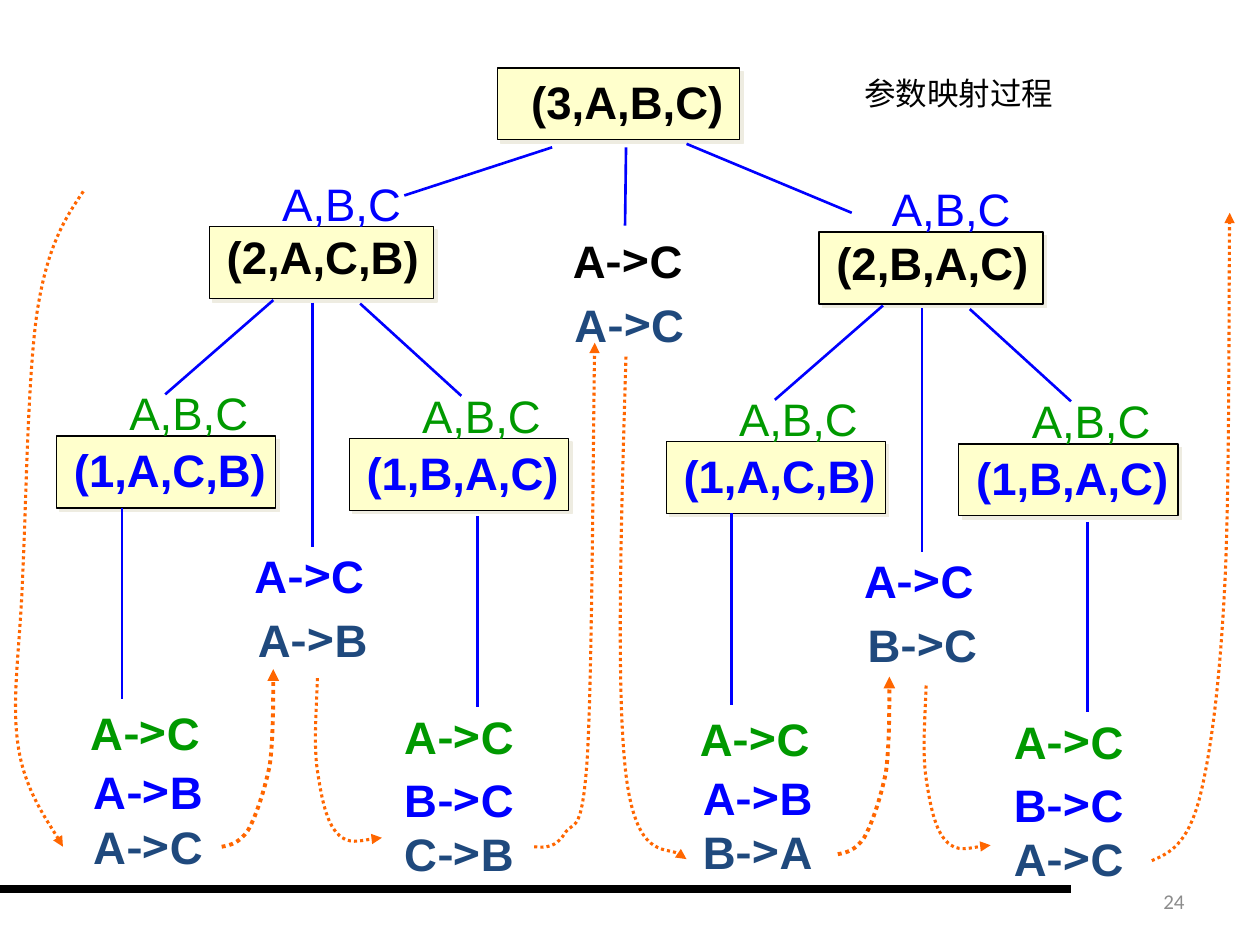
"""Build the slide that traces parameter mapping through a recursion tree."""
from pptx import Presentation
from pptx.dml.color import RGBColor
from pptx.enum.dml import MSO_LINE
from pptx.enum.shapes import MSO_CONNECTOR, MSO_SHAPE
from pptx.enum.text import MSO_ANCHOR, PP_ALIGN
from pptx.oxml import parse_xml
from pptx.oxml.ns import nsdecls, qn
from pptx.util import Cm, Pt

RECT = MSO_SHAPE.RECTANGLE
STRAIGHT = MSO_CONNECTOR.STRAIGHT
DOTS = MSO_LINE.ROUND_DOT
MIDDLE = MSO_ANCHOR.MIDDLE
LEFT, RIGHT = PP_ALIGN.LEFT, PP_ALIGN.RIGHT

HUES = {
    "black": "000000", "blue": "0000FF", "green": "009900", "navy": "1F497D",
    "cream": "FFFFCC", "shade": "EEECE1", "orange": "FF6600", "gray": "8C8C8C",
}
RGB = {name: RGBColor.from_string(code) for name, code in HUES.items()}
LATIN, ARROW = "Arial", "Noto Sans CJK SC"

deck = Presentation()
deck.slide_width, deck.slide_height = Cm(25.4), Cm(19.05)
slide = deck.slides.add_slide(deck.slide_layouts[6])
shapes = slide.shapes


def write(x, y, w, h, rows, size=26, bold=True, wrap=False, align=LEFT):
    box = shapes.add_textbox(Cm(x), Cm(y), Cm(w), Cm(h))
    frame = box.text_frame
    frame.word_wrap = wrap
    for i, (hue, parts) in enumerate(rows):
        para = frame.add_paragraph() if i else frame.paragraphs[0]
        para.alignment = align
        if len(parts) > 1:
            para.line_spacing = Pt(31)
        for text, face in parts:
            run = para.add_run()
            run.text = text
            run.font.name = face
            run.font.size = Pt(size)
            run.font.bold = bold
            run.font.color.rgb = RGB[hue]
    return frame


def link(x1, y1, x2, y2, hue="blue", width=1.5):
    edge = shapes.add_connector(STRAIGHT, Cm(x1), Cm(y1), Cm(x2), Cm(y2))
    edge.line.color.rgb = RGB[hue]
    edge.line.width = Pt(width)
    edge.element.spPr.append(parse_xml(f"<a:effectLst {nsdecls('a')}/>"))


link(0, 17.93, 21.59, 17.93, "black", 4.5)
page = write(18.21, 17.65, 5.92, 1.02, [("gray", [("24", "Calibri")])],
             12, False, True, RIGHT)
page.vertical_anchor = MIDDLE

nodes = [(10.03, 1.37, 4.88, 0.43, 0, "(3,A,B,C)", "black", None)]
moves = [(11.3, 4.57, [("black", "AC")]), (11.33, 5.87, [("navy", "AC")])]
edges = [(12.62, 2.97, 12.6, 4.55), (11.13, 2.97, 8.15, 3.94),
         (13.84, 2.9, 17.17, 4.29)]

trees = [
    (0, 0, "(2,A,C,B)", "AB", "AC", "CB"),
    (12.29, 0.11, "(2,B,A,C)", "BC", "BA", "AC"),
]
for dx, dy, call, mid, first, last in trees:
    nodes += [
        (4.22 + dx, 4.57 + dy, 4.52, 0.1, -0.07, call, "black", "blue"),
        (1.14 + dx, 8.79 + dy, 4.42, 0.1, 0, "(1,A,C,B)", "blue", "green"),
        (7.04 + dx, 8.84 + dy, 4.42, 0.1, 0, "(1,B,A,C)", "blue", "green"),
    ]
    moves += [
        (4.88 + dx, 10.92 + dy, [("blue", "AC")]),
        (4.95 + dx, 12.22 + dy, [("navy", mid)]),
        (1.57 + dx, 14.1 + dy, [("green", "AC")]),
        (7.9 + dx, 14.17 + dy, [("green", "AC")]),
        (1.63 + dx, 15.29 + dy, [("blue", "AB"), ("navy", first)]),
        (7.9 + dx, 15.44 + dy, [("blue", "BC"), ("navy", last)]),
    ]
    for x1, y1, x2, y2 in [
        (5.51, 6.05, 3.33, 7.95), (6.3, 6.1, 6.3, 11.02),
        (7.26, 6.12, 9.3, 7.98), (2.46, 10.24, 2.46, 14.1),
        (9.63, 10.41, 9.63, 14.25),
    ]:
        edges.append((x1 + dx, y1 + dy, x2 + dx, y2 + dy))

for x, y, w, right, down, call, hue, tag in nodes:
    box = shapes.add_shape(RECT, Cm(x), Cm(y), Cm(w), Cm(1.45))
    box.fill.solid()
    box.fill.fore_color.rgb = RGB["cream"]
    box.line.color.rgb = RGB["black"]
    box.line.width = Pt(0.75)
    box.shadow.inherit = False
    box.element.spPr.find(qn("a:effectLst")).append(parse_xml(
        f'<a:outerShdw {nsdecls("a")} dist="{Pt(2.8)}" dir="2700000" '
        f'algn="ctr" rotWithShape="0"><a:srgbClr val="{HUES["shade"]}"/>'
        '</a:outerShdw>'))
    write(x + right, y + down, 5.13, 1.35, [(hue, [(call, LATIN)])], wrap=True)
    if tag:
        write(x + 1.22, y - 1.15, 2.92, 1.35, [(tag, [("A,B,C", LATIN)])],
              bold=False)

for x, y, steps in moves:
    rows = [(hue, [(a, LATIN), ("->", ARROW), (b, LATIN)])
            for hue, (a, b) in steps]
    write(x, y, 2.74, 1.35 if len(rows) == 1 else 2.46, rows)

for edge in edges:
    link(*edge)

rise = [(4.47, 17.07), (4.65, 17.04), (4.83, 16.99), (5, 16.74),
        (5.16, 16.46), (5.33, 15.95), (5.44, 15.42),
        (5.51, 14.88), (5.51, 13.82), (5.51, 13.49)]
fall = [(6.4, 13.67), (6.38, 14.33), (6.32, 15.01), (6.4, 15.54),
        (6.48, 16.08), (6.58, 16.59), (6.81, 16.81),
        (7.01, 17.04), (7.54, 16.89), (7.7, 16.89)]
climb = [(10.77, 17.07), (11, 17.09), (11.2, 17.09), (11.38, 16.81),
         (11.56, 16.51), (11.73, 16.92), (11.84, 15.27),
         (11.94, 13.61), (11.96, 8.31), (11.99, 6.91)]
drop = [(12.62, 7.19), (12.52, 10.54), (12.42, 13.92), (12.62, 15.62),
        (12.83, 17.3), (13.64, 17.04), (13.84, 17.32)]
start = [(1.68, 3.86), (1.32, 4.39), (0.97, 4.93), (0.76, 6.22),
         (0.56, 7.49), (0.53, 10.11), (0.46, 11.56),
         (0.41, 13.03), (0.23, 14.05), (0.36, 14.99),
         (0.48, 15.9), (1.09, 16.74), (1.27, 17.07)]
finish = [(23.22, 17.35), (23.57, 17.2), (23.93, 17.04), (24.18, 16.1),
          (24.41, 15.19), (24.59, 13.79), (24.69, 11.81),
          (24.79, 9.86), (24.77, 5.54), (24.79, 4.29)]
curves = [
    (rise, 0, 0, 2.25), (fall, 0, 0, 1.75), (climb, 0, 0, 1.75),
    (drop, 0, 0, 1.75), (rise, 12.42, 0.15, 2.25), (fall, 12.27, 0.15, 1.75),
    (start, 0, 0, 1.75), (finish, 0, 0, 1.75),
]
for knots, dx, dy, width in curves:
    spots = [(Cm(x + dx), Cm(y + dy)) for x, y in knots]
    pen = shapes.build_freeform(*spots[0])
    pen.add_line_segments(spots[1:], close=False)
    curve = pen.convert_to_shape()
    curve.fill.background()
    curve.shadow.inherit = False
    curve.line.color.rgb = RGB["orange"]
    curve.line.width = Pt(width)
    curve.line.dash_style = DOTS
    props = curve.element.spPr
    props.find(qn("a:ln")).append(
        parse_xml(f'<a:tailEnd {nsdecls("a")} type="triangle"/>'))
    track = next(props.iter(qn("a:path")))
    sides = track.findall(qn("a:lnTo"))
    for i in range(0, len(sides), 3):
        bend = parse_xml(f"<a:cubicBezTo {nsdecls('a')}/>")
        for side in sides[i:i + 3]:
            bend.append(side[0])
            track.remove(side)
        track.append(bend)

write(17.17, 1.37, 6.83, 1.02, [("black", [("参数映射过程", LATIN)])],
      18, False, True)

deck.save("out.pptx")
